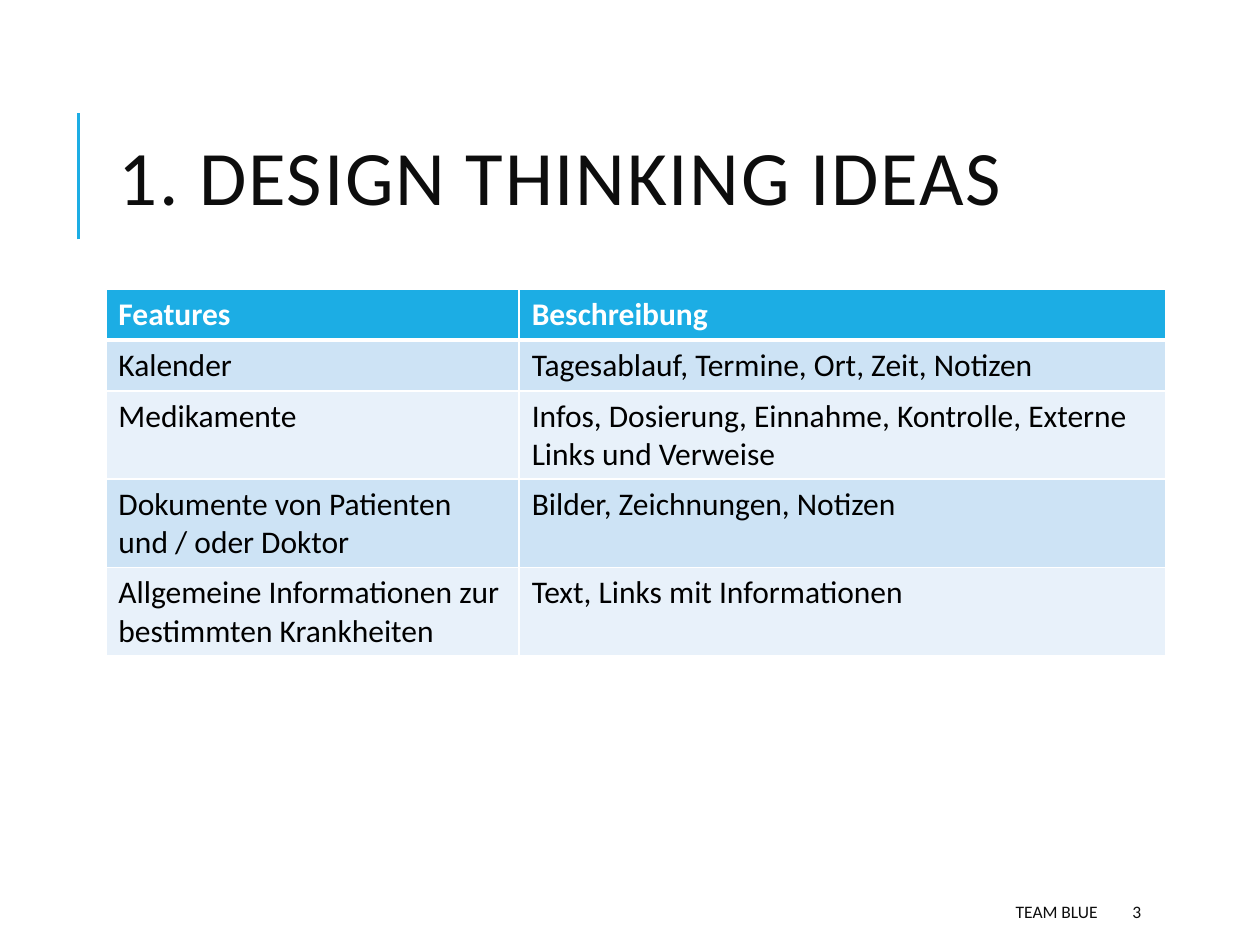
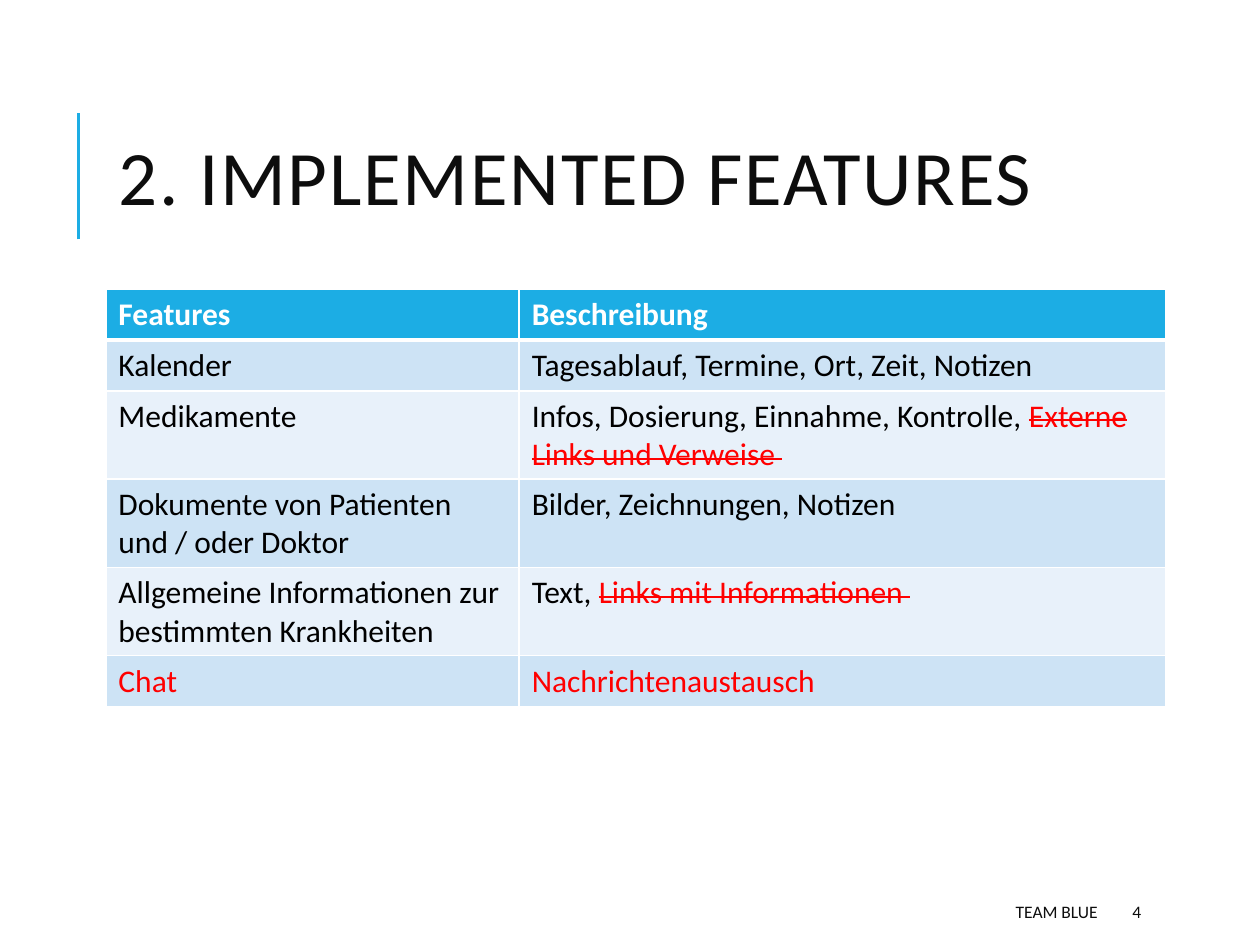
from lxml.etree import SubElement
from pptx import Presentation
from pptx.dml.color import RGBColor
from pptx.enum.shapes import MSO_CONNECTOR as Connector
from pptx.enum.text import MSO_ANCHOR as Anchor, MSO_AUTO_SIZE as AutoSize, PP_ALIGN as Align
from pptx.oxml.ns import qn
from pptx.util import Pt

COLORS = {
    "accent": "1CADE4",
    "ink": "0D0D0D",
    "body": "000000",
    "white": "FFFFFF",
    "change": "FF0000",
    "band_dark": "CDE3F5",
    "band_light": "E8F1FA",
}
FONT = "Calibri"
LEFT = 60.5
ROW_HEIGHT = 29.2
COLUMN_WIDTHS = [236.2, 369.3]
FIRST_PAGE_NUMBER = 3

HEADER = ("Features", "Beschreibung", "")
FEATURES = [
    ("Kalender", "Tagesablauf, Termine, Ort, Zeit, Notizen", ""),
    ("Medikamente", "Infos, Dosierung, Einnahme, Kontrolle, ", "Externe Links und Verweise "),
    ("Dokumente von Patienten und / oder Doktor", "Bilder, Zeichnungen, Notizen", ""),
    ("Allgemeine Informationen zur bestimmten Krankheiten", "Text, ", "Links mit Informationen "),
]
IDEAS = [(name, (kept + dropped).strip(), "") for name, kept, dropped in FEATURES]
ADDED = ("Chat", "Nachrichtenaustausch", "")
SLIDES = [
    ("1. DESIGN THINKING IDEAS", IDEAS),
    ("2. IMPLEMENTED FEATURES", FEATURES + [ADDED]),
]
FOOTER_BOXES = [(285.8, 348.5, Align.RIGHT), (640, 57.6, Align.LEFT)]


def style_font(font, size, color, bold=False):
    font.name = FONT
    font.size = Pt(size)
    font.bold = bold
    font.color.rgb = RGBColor.from_string(COLORS[color])


def add_border(cell, side, width):
    line = SubElement(cell._tc.get_or_add_tcPr(), qn(f"a:ln{side}"), w=str(Pt(width)))
    fill = SubElement(line, qn("a:solidFill"))
    SubElement(fill, qn("a:srgbClr"), val=COLORS["white"])


deck = Presentation()
deck.slide_width, deck.slide_height = Pt(720), Pt(540)

for number, (heading, features) in enumerate(SLIDES, FIRST_PAGE_NUMBER):
    page = deck.slides.add_slide(deck.slide_layouts[5])

    rule = page.shapes.add_connector(Connector.STRAIGHT, Pt(45), Pt(136.8), Pt(45), Pt(64.8))
    rule.line.color.rgb = RGBColor.from_string(COLORS["accent"])
    rule.line.width = Pt(1.5)
    SubElement(rule._element.spPr, qn("a:effectLst"))

    title = page.shapes.title
    title.left, title.top, title.width, title.height = Pt(LEFT), Pt(46), Pt(574), Pt(118)
    title.text_frame.text = heading
    title.text_frame.auto_size = AutoSize.NONE
    title.text_frame.vertical_anchor = Anchor.MIDDLE
    para = title.text_frame.paragraphs[0]
    para.alignment = Align.LEFT
    para.line_spacing = 0.8
    style_font(para.font, 44, "ink")
    para.runs[0]._r.get_or_add_rPr().set("spc", "100")

    for text, (left, width, alignment) in zip(("TEAM BLUE", str(number)), FOOTER_BOXES):
        box = page.shapes.add_textbox(Pt(left), Pt(509.8), Pt(width), Pt(21.6))
        box.text_frame.word_wrap = True
        box.text_frame.vertical_anchor = Anchor.MIDDLE
        para = box.text_frame.paragraphs[0]
        para.text = text
        para.alignment = alignment
        style_font(para.font, 10, "ink")

    rows = [HEADER] + features
    table = page.shapes.add_table(
        len(rows), 2, Pt(LEFT), Pt(165), Pt(sum(COLUMN_WIDTHS)), Pt(ROW_HEIGHT * len(rows))
    ).table
    table.horz_banding = False
    for column, width in zip(table.columns, COLUMN_WIDTHS):
        column.width = Pt(width)

    for index, (name, kept, dropped) in enumerate(rows):
        table.rows[index].height = Pt(ROW_HEIGHT)
        is_header = index == 0
        if is_header:
            band, color = "accent", "white"
        else:
            band = "band_dark" if index % 2 else "band_light"
            color = "change" if name == ADDED[0] else "body"

        for cell, text in zip(table.rows[index].cells, (name, kept)):
            add_border(cell, "L", 1)
            add_border(cell, "R", 1)
            add_border(cell, "T", 3 if index == 1 else 1)
            add_border(cell, "B", 3 if is_header else 1)
            cell.fill.solid()
            cell.fill.fore_color.rgb = RGBColor.from_string(COLORS[band])
            para = cell.text_frame.paragraphs[0]
            span = para.add_run()
            span.text = text
            style_font(span.font, 18, color, is_header)

        if dropped:
            span = para.add_run()
            span.text = dropped
            style_font(span.font, 18, "change")
            span._r.get_or_add_rPr().set("strike", "sngStrike")

deck.save("out.pptx")
